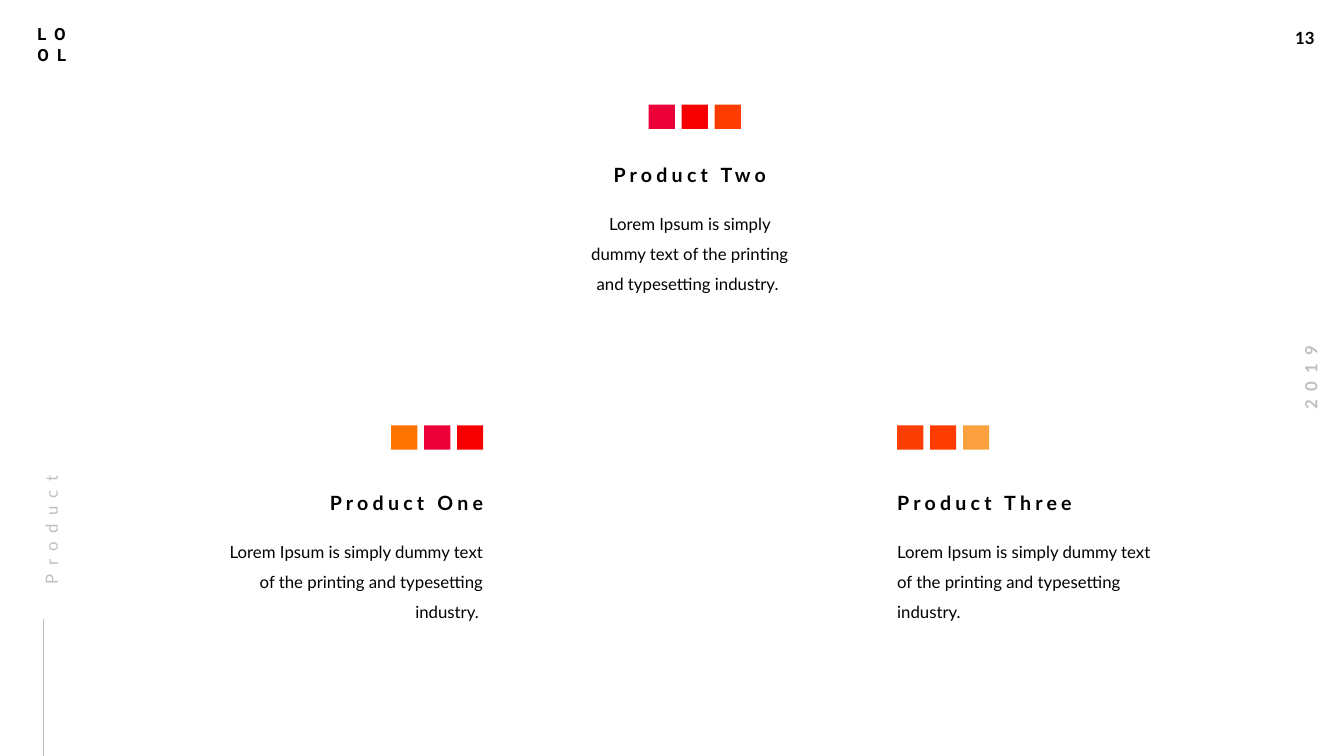
from dataclasses import dataclass
from lxml.etree import SubElement
from pptx import Presentation
from pptx.dml.color import RGBColor
from pptx.enum.shapes import MSO_CONNECTOR, MSO_SHAPE
from pptx.enum.text import MSO_ANCHOR, MSO_AUTO_SIZE, PP_ALIGN
from pptx.oxml.ns import qn
from pptx.util import Cm, Pt


@dataclass(frozen=True)
class Theme:
    ink: str = "000000"
    mute: str = "BFBFBF"
    rose: str = "EB003A"
    red: str = "F80001"
    flame: str = "FE3C00"
    ember: str = "FB3E03"
    orange: str = "FF7300"
    sand: str = "FAA03E"
    face: str = "Lato"
    mark: str = "Roboto"
    body: int = 12
    head: int = 14
    rule: float = 0.5


theme = Theme()
LEFT, MID, RIGHT = PP_ALIGN.LEFT, PP_ALIGN.CENTER, PP_ALIGN.RIGHT
SHARE = {LEFT: 0, MID: 0.5, RIGHT: 1}
LOREM = "Lorem Ipsum is simply dummy text of the printing and typesetting industry."

# name, text, alignment, anchor x, swatch top, heading top, body width, colours
PRODUCTS = [
    ("Product Two", LOREM + " ", MID, 17.51, 2.64, 4.11, 5.51,
     (theme.rose, theme.red, theme.flame)),
    ("Product One", LOREM + " ", RIGHT, 12.43, 10.72, 12.37, 6.68,
     (theme.orange, theme.rose, theme.red)),
    ("Product Three", LOREM, LEFT, 22.61, 10.72, 12.37, 6.68,
     (theme.ember, theme.flame, theme.sand)),
]
TITLE = "Product"
YEAR = "2019"
PAGE = "13"
BRAND = "LO\nOL"

WIDE, HIGH = 33.87, 19.05
HEAD_W, HEAD_H = 5.97, 0.61
BODY_H, BODY_DROP = 2.21, 1.02
CHIP_W, CHIP_H, PITCH = 0.66, 0.61, 0.83
PAD = 0.25
TIGHT = (0, 0, PAD, 0)
LOOSE = (PAD, 0.13, PAD, 0.13)


def place(shape, x, y, w, h, turn=0):
    shape.left, shape.top, shape.width, shape.height = map(Cm, (x, y, w, h))
    shape.rotation = turn


def write(shape, text, align=LEFT, size=theme.body, color=theme.ink, bold=False,
          face=theme.face, track=0, lead=1, pad=TIGHT, wrap=True):
    """Fill a shape with text; track is letter spacing in points."""
    frame = shape.text_frame
    frame.text = text
    frame.word_wrap = wrap
    frame.auto_size = MSO_AUTO_SIZE.NONE
    frame.vertical_anchor = MSO_ANCHOR.TOP
    (frame.margin_left, frame.margin_top,
     frame.margin_right, frame.margin_bottom) = map(Cm, pad)
    for para in frame.paragraphs:
        para.alignment = align
        para.line_spacing = lead
        para.space_before = Pt(0)
        for run in para.runs:
            font = run.font
            font.name, font.size, font.bold = face, Pt(size), bold
            font.color.rgb = RGBColor.from_string(color)
            if track:
                run._r.get_or_add_rPr().set("spc", str(track * 100))


def label(slide, spot, text, **style):
    box = slide.shapes.add_textbox(0, 0, 0, 0)
    place(box, *spot)
    write(box, text, **style)


def chips(slide, x, y, colors):
    for i, color in enumerate(colors):
        chip = slide.shapes.add_shape(MSO_SHAPE.RECTANGLE, Cm(x + i * PITCH),
                                      Cm(y), Cm(CHIP_W), Cm(CHIP_H))
        chip.shadow.inherit = False
        chip.fill.solid()
        chip.fill.fore_color.rgb = RGBColor.from_string(color)
        chip.line.fill.background()


def product(slide, name, text, align, x, top, head, wide, colors):
    share = SHARE[align]
    row = (len(colors) - 1) * PITCH + CHIP_W
    inset = PAD if align == RIGHT else 0
    chips(slide, x - inset - share * row, top, colors)
    label(slide, (x - share * HEAD_W, head, HEAD_W, HEAD_H), name,
          align=align, size=theme.head, bold=True, track=3)
    label(slide, (x - share * wide, head + BODY_DROP, wide, BODY_H), text,
          align=align, lead=1.5)


def rule(slide, x, low, high):
    line = slide.shapes.add_connector(MSO_CONNECTOR.STRAIGHT,
                                      Cm(x), Cm(low), Cm(x), Cm(high))
    line.line.color.rgb = RGBColor.from_string(theme.mute)
    line.line.width = Pt(theme.rule)
    SubElement(line._element.spPr, qn("a:effectLst"))


def main():
    deck = Presentation()
    deck.slide_width, deck.slide_height = Cm(WIDE), Cm(HIGH)
    slide = deck.slides.add_slide(deck.slide_layouts[5])
    title = slide.shapes.title
    place(title, -1.24, 12.04, 4.7, 0.66, 270)
    write(title, TITLE, color=theme.mute, track=6, lead=1.5)
    label(slide, (32.39, 0.56, 1.04, 0.76), PAGE, bold=True, pad=LOOSE, wrap=False)
    label(slide, (31.85, 9.14, 2.36, 0.76, 270), YEAR, align=MID, bold=True,
          color=theme.mute, track=6, pad=LOOSE, wrap=False)
    label(slide, (0.69, 0.48, 1.8, 1.27), BRAND, bold=True, face=theme.mark,
          track=6, pad=LOOSE)
    for item in PRODUCTS:
        product(slide, *item)
    rule(slide, 1.09, HIGH, 15.6)
    deck.save("out.pptx")


if __name__ == "__main__":
    main()
